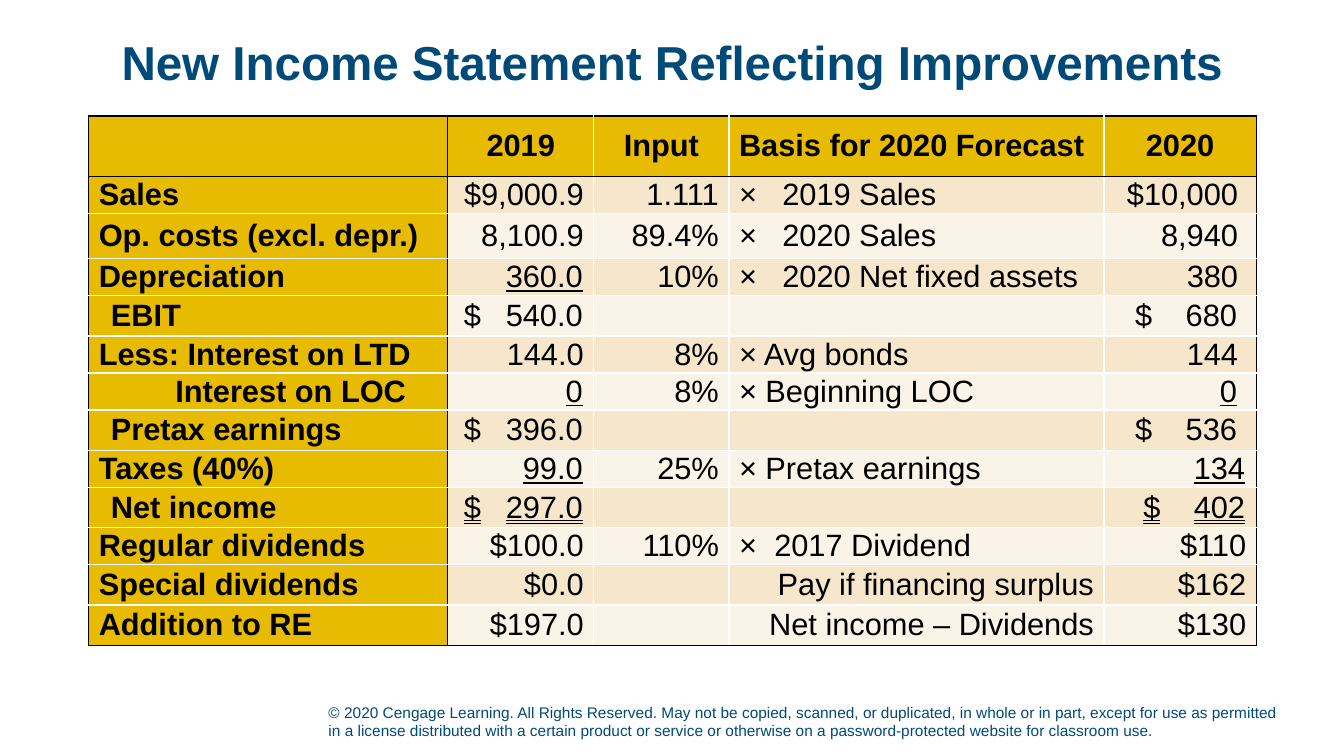
import pptx
import pptx.util
import pptx.dml.color
import pptx.enum.text
import pptx.oxml.ns
import lxml.etree

Inches = pptx.util.Inches
Pt = pptx.util.Pt
Align = pptx.enum.text.PP_ALIGN
Anchor = pptx.enum.text.MSO_ANCHOR
Underline = pptx.enum.text.MSO_UNDERLINE
qn = pptx.oxml.ns.qn

COLORS = {"navy": "004A78", "gold": "E7BB01", "sand": "F6E7CC",
          "cream": "FAF3E7", "black": "000000", "white": "FFFFFF"}


def style_text(paragraph, size, color, bold=False, underline=None):
    for run in paragraph.runs:
        run.font.name = "Arial"
        run.font.size = Pt(size)
        run.font.bold = bold
        run.font.underline = underline
        run.font.color.rgb = pptx.dml.color.RGBColor.from_string(COLORS[color])


def add_text(text, box, size, anchor, align, bold):
    shape = slide.shapes.add_textbox(*[Inches(length) for length in box])
    frame = shape.text_frame
    frame.word_wrap = True
    frame.vertical_anchor = anchor
    frame.text = text
    paragraph = frame.paragraphs[0]
    paragraph.alignment = align
    style_text(paragraph, size, "navy", bold)
    return paragraph


presentation = pptx.Presentation()
presentation.slide_width = Inches(13.33)
presentation.slide_height = Inches(7.5)
slide = presentation.slides.add_slide(presentation.slide_layouts[6])

add_text("© 2020 Cengage Learning. All Rights Reserved. May not be copied, scanned, or duplicated, "
         "in whole or in part, except for use as permitted in a license distributed with a certain "
         "product or service or otherwise on a password-protected website for classroom use.",
         (3.16, 6.89, 9.63, 0.5), 11, Anchor.BOTTOM, Align.LEFT, False)
title = add_text("New Income Statement Reflecting Improvements",
                 (0.92, 0.15, 11.5, 1), 34, Anchor.MIDDLE, Align.CENTER, True)
title.line_spacing = 0.9

statement = [
    ("", "2019", "Input", "Basis for 2020 Forecast", "2020"),
    ("Sales", "$9,000.9", "1.111", "×\t2019 Sales", "$10,000"),
    ("Op. costs (excl. depr.)", "8,100.9", "89.4%", "×\t2020 Sales", "8,940"),
    ("Depreciation", "\t360.0", "10%", "×\t2020 Net fixed assets", "380"),
    ("EBIT", "$\t540.0", "", "", "$\t680"),
    ("Less: Interest on LTD", "144.0", "8%", "× Avg bonds", "144"),
    ("Interest on LOC", "\t0", "8%", "× Beginning LOC", "\t0"),
    ("Pretax earnings", "$\t396.0", "", "", "$\t536"),
    ("Taxes (40%)", "\t99.0", "25%", "× Pretax earnings", "\t134"),
    ("Net income", "$\t297.0", "", "", "$\t402"),
    ("Regular dividends", "$100.0", "110%", "×\t2017 Dividend", "$110"),
    ("Special dividends", "$0.0", "", "Pay if financing surplus", "$162"),
    ("Addition to RE", "$197.0", "", "Net income – Dividends", "$130"),
]
column_widths = [3.56, 1.45, 1.34, 3.72, 1.51]
row_heights = [0.6, 0.36, 0.45, 0.36, 0.4, 0.36, 0.36, 0.4, 0.36, 0.4, 0.36, 0.4, 0.4]
label_indents = {"EBIT": 0.12, "Pretax earnings": 0.12, "Net income": 0.12, "Interest on LOC": 0.76}
LABEL, YEAR_2019, INPUT, BASIS, YEAR_2020 = range(5)
TAXES, NET_INCOME, SPECIAL = 8, 9, 11
INSET = 0.1
last_row = len(row_heights) - 1

table = slide.shapes.add_table(len(row_heights), len(column_widths), Inches(0.88), Inches(1.15),
                               Inches(sum(column_widths)), Inches(sum(row_heights))).table
table.first_row = False
table.horz_banding = False
for column, width in zip(table.columns, column_widths):
    column.width = Inches(width)
for row, height in zip(table.rows, row_heights):
    row.height = Inches(height)

for r, entries in enumerate(statement):
    for c, text in enumerate(entries):
        cell = table.cell(r, c)
        heading = r == 0 or c == LABEL
        amount = c in (YEAR_2019, YEAR_2020) and "\t" in text
        left = right = INSET
        if c == LABEL:
            left += label_indents.get(text, 0)
        if c == YEAR_2020 and 0 < r < TAXES:
            right = 0.18
        if amount and c == YEAR_2019:
            left = 0.33 if text == "\t0" else 0.16
        elif amount:
            left = 0.31 if r < TAXES else 0.39
        cell.margin_left, cell.margin_right = Inches(left), Inches(right)
        cell.margin_top = cell.margin_bottom = 0
        cell.vertical_anchor = Anchor.MIDDLE
        cell.text_frame.text = text
        paragraph = cell.text_frame.paragraphs[0]

        if r == 0 and c != BASIS:
            paragraph.alignment = Align.CENTER
        elif c == LABEL or amount or (c == BASIS and r < SPECIAL):
            paragraph.alignment = Align.LEFT
        else:
            paragraph.alignment = Align.RIGHT
        if "\t" in text:
            basis_tab = 0.35 if "Dividend" in text else 0.43
            stop = column_widths[c] - left - right - 0.01 if amount else basis_tab
            tabs = lxml.etree.SubElement(paragraph._p.get_or_add_pPr(), qn("a:tabLst"))
            lxml.etree.SubElement(tabs, qn("a:tab"), pos=str(Inches(stop)), algn="r" if amount else "l")

        underline = None
        if amount and r == NET_INCOME:
            underline = Underline.DOUBLE_LINE
        elif amount and text.startswith("\t"):
            underline = Underline.SINGLE_LINE
        style_text(paragraph, 22, "black", heading, underline)

        borders = {"a:lnL": c <= YEAR_2019, "a:lnR": c in (LABEL, YEAR_2020),
                   "a:lnT": r <= 1, "a:lnB": r in (0, last_row)}
        properties = cell._tc.get_or_add_tcPr()
        for side, dark in borders.items():
            line = lxml.etree.SubElement(properties, qn(side), w=str(Pt(1)))
            fill = lxml.etree.SubElement(line, qn("a:solidFill"))
            lxml.etree.SubElement(fill, qn("a:srgbClr"), val=COLORS["black" if dark else "white"])
        cell.fill.solid()
        shade = "gold" if heading else "sand" if r % 2 else "cream"
        cell.fill.fore_color.rgb = pptx.dml.color.RGBColor.from_string(COLORS[shade])

presentation.save("out.pptx")
